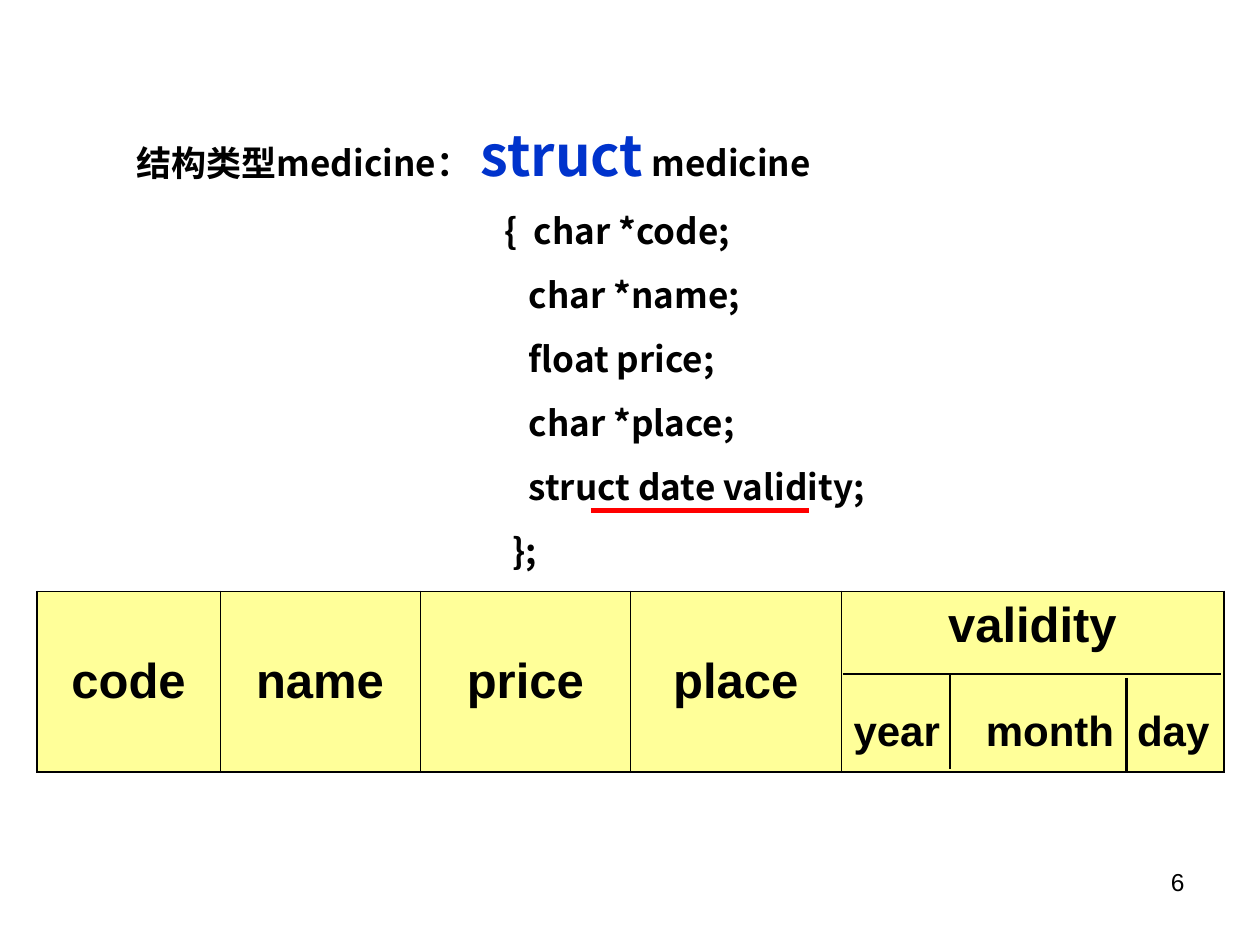
from lxml import etree
from pptx import Presentation
from pptx import util as u
from pptx.dml.color import RGBColor
from pptx.enum import shapes, text
from pptx.oxml.ns import qn

COLORS = {"ink": "000000", "keyword": "0033CC", "cell": "FFFF99", "underline": "FF0000"}
CODE_FONT = "Noto Sans CJK SC"

presentation = Presentation()
presentation.slide_width, presentation.slide_height = u.Inches(10), u.Inches(7.5)
slide = presentation.slides.add_slide(presentation.slide_layouts[6])
unit = presentation.slide_width / 100


def add_text(left, top, width, height, lines, name, size, bold, gap=0):
    box = slide.shapes.add_textbox(*(round(unit * n) for n in (left, top, width, height)))
    box.text_frame.word_wrap = True
    box.text_frame.text = "\n".join(lines)
    for index, paragraph in enumerate(box.text_frame.paragraphs):
        if index:
            paragraph.space_before = u.Pt(gap)
        for run in paragraph.runs:
            style_run(run, name, size, bold)
    return box.text_frame


def style_run(run, name, size, bold, color="ink"):
    run.font.name, run.font.size, run.font.bold = name, u.Pt(size), bold
    run.font.color.rgb = RGBColor.from_string(COLORS[color])
    properties = run._r.get_or_add_rPr()
    etree.SubElement(properties, qn("a:ea"), typeface=name)


page_number = add_text(71.7, 68.3, 23.3, 5.2, ["6"], "Arial", 14, False)
page_number.paragraphs[0].alignment = text.PP_ALIGN.RIGHT

code_lines = [
    " ",
    "    {  char *code;",
    "       char *name;",
    "       float price;",
    "       char *place;",
    "       struct date validity;",
    "     };",
]
code = add_text(36.55, 9.1, 46.7, 40.1, code_lines, CODE_FONT, 20, True, gap=12.5)
for word, size, color in (("struct", 32, "keyword"), (" medicine", 20, "ink")):
    run = code.paragraphs[0].add_run()
    run.text = word
    style_run(run, CODE_FONT, size, True, color)

fields = ["code", "name", "price", "place", "validity"]
widths = [14.5, 15.9, 16.7, 16.7, 30.4]
frame = slide.shapes.add_table(1, len(fields), *(round(unit * n) for n in (2.95, 46.95, 94.2, 14.35)))
table = frame.table
for column, (field, width) in enumerate(zip(fields, widths)):
    table.columns[column].width = round(unit * width)
    cell = table.cell(0, column)
    cell.text = field
    cell.vertical_anchor = text.MSO_ANCHOR.MIDDLE
    cell.text_frame.paragraphs[0].alignment = text.PP_ALIGN.CENTER
    style_run(cell.text_frame.paragraphs[0].runs[0], "Arial", 28, True)
    borders = {
        "a:lnL": 0.45 if column else 1.08,
        "a:lnR": 0.45 if column < len(fields) - 1 else 1.08,
        "a:lnT": 1.08,
        "a:lnB": 1.08,
    }
    cell_properties = cell._tc.get_or_add_tcPr()
    for side, weight in borders.items():
        border = etree.SubElement(cell_properties, qn(side), w=str(u.Pt(weight)))
        fill = etree.SubElement(border, qn("a:solidFill"))
        etree.SubElement(fill, qn("a:srgbClr"), val=COLORS["ink"])
    cell.fill.solid()
    cell.fill.fore_color.rgb = RGBColor.from_string(COLORS["cell"])

validity = table.cell(0, len(fields) - 1)
validity.vertical_anchor = text.MSO_ANCHOR.TOP
date_parts = validity.text_frame.add_paragraph()
date_parts.space_before = u.Pt(32)
tab_list = etree.SubElement(date_parts._p.get_or_add_pPr(), qn("a:tabLst"))
for position in (10.5, 22.5):
    etree.SubElement(tab_list, qn("a:tab"), pos=str(round(unit * position)), algn="l")
run = date_parts.add_run()
run.text = "year\tmonth\tday"
style_run(run, "Arial", 24, True)

add_text(9.85, 10.7, 31.7, 4.4, ["结构类型medicine："], CODE_FONT, 20, True)

rules = [
    (66.9, 53.5, 96.9, 53.5, "ink", 1.5),
    (75.4, 53.5, 75.4, 61, "ink", 1.5),
    (89.4, 53.8, 89.4, 61.3, "ink", 1.5),
    (46.9, 40.5, 64.2, 40.5, "underline", 3),
]
for *ends, color, weight in rules:
    line = slide.shapes.add_connector(shapes.MSO_CONNECTOR.STRAIGHT, *(round(unit * n) for n in ends))
    line.line.color.rgb = RGBColor.from_string(COLORS[color])
    line.line.width = u.Pt(weight)
    etree.SubElement(line._element.spPr, qn("a:effectLst"))

presentation.save("out.pptx")
